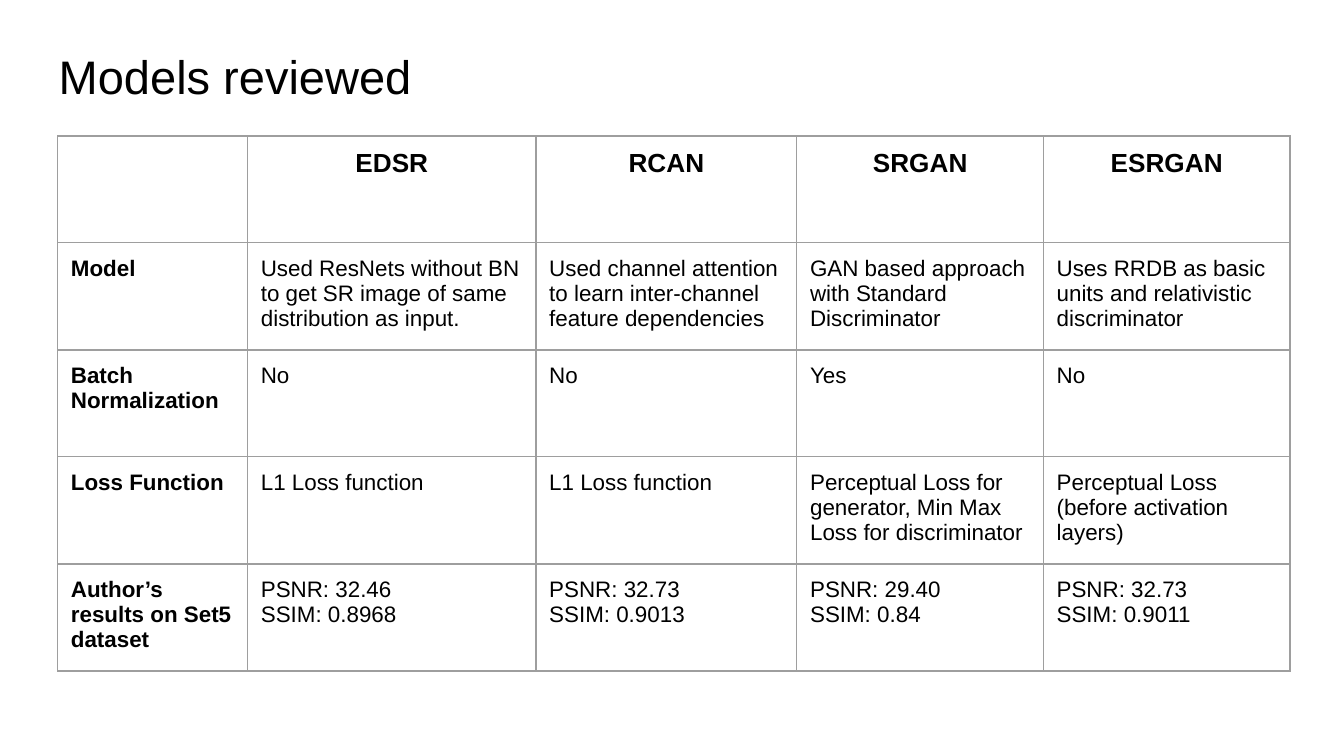
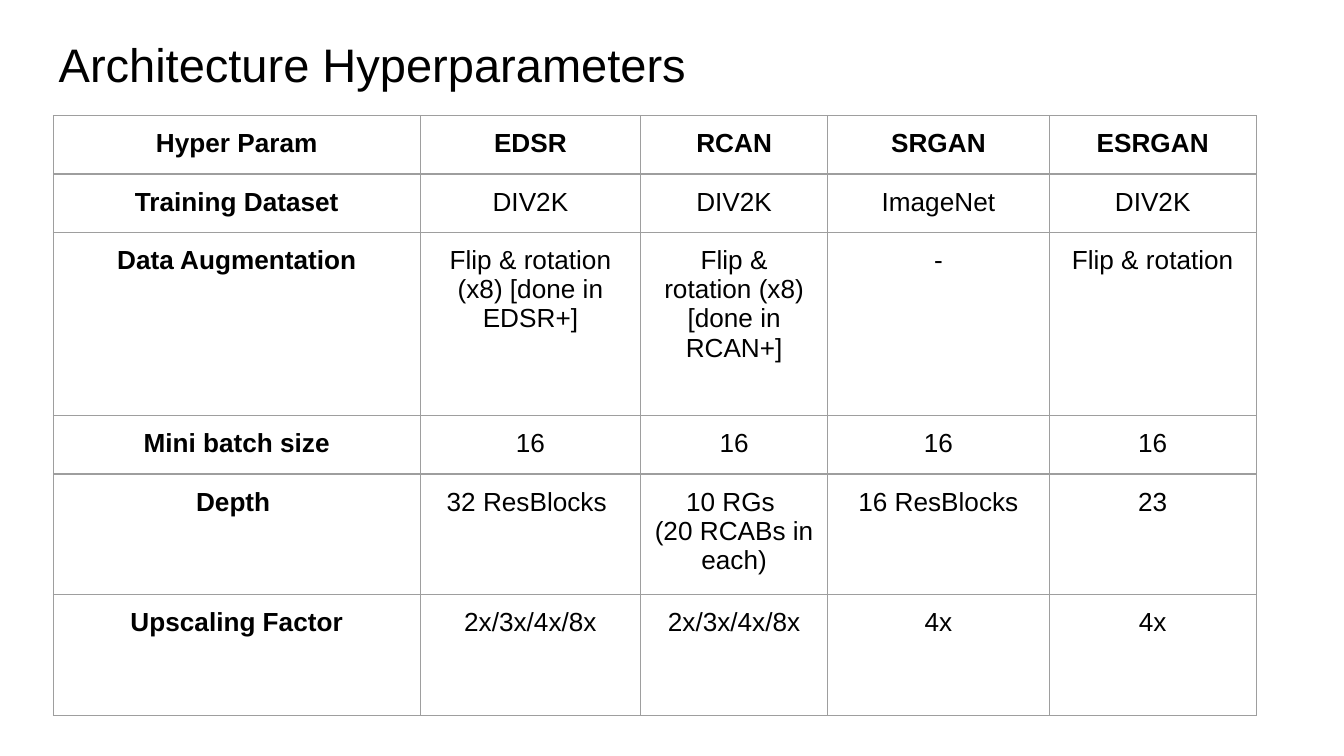
from lxml import etree
from pptx import Presentation
from pptx.dml.color import RGBColor
from pptx.enum.text import MSO_ANCHOR, PP_ALIGN
from pptx.oxml.ns import qn
from pptx.util import Cm, Pt

LEFT, CENTER = PP_ALIGN.LEFT, PP_ALIGN.CENTER
BOTTOM = MSO_ANCHOR.BOTTOM
BLANK_LAYOUT = 6

COLORS = {"page": "FFFFFF", "text": "000000", "grid": "9E9E9E"}
FONT = "Arial"
TITLE_SIZE, HEADING_SIZE, BODY_SIZE = 25.2, 14, 12
GRID_WIDTH = Pt(0.75)
INSETS = {f"margin_{side}": Cm(0.25) for side in ("left", "top", "right", "bottom")}
TITLE_FORMAT = {"word_wrap": True, "vertical_anchor": BOTTOM, **INSETS}
PLAIN_TABLE = {"first_row": False, "horz_banding": False}

MODELS = ["EDSR", "RCAN", "SRGAN", "ESRGAN"]

REVIEW = {
    "title": "Models reviewed",
    "title_top": 0.61,
    "table_at": (1.09, 2.57),
    "columns": [3.59, 5.45, 4.93, 4.66, 4.66],
    "rows": [2.02] * 5,
    "body_size": BODY_SIZE,
    "body_align": LEFT,
    "cells": [
        ["", *MODELS],
        ["Model",
         "Used ResNets without BN to get SR image of same distribution as input.",
         "Used channel attention to learn inter-channel feature dependencies",
         "GAN based approach with Standard Discriminator",
         "Uses RRDB as basic units and relativistic discriminator"],
        ["Batch Normalization", "No", "No", "Yes", "No"],
        ["Loss Function", "L1 Loss function", "L1 Loss function",
         "Perceptual Loss for generator, Min Max Loss for discriminator",
         "Perceptual Loss (before activation layers)"],
        ["Author’s results on Set5 dataset",
         "PSNR: 32.46\nSSIM: 0.8968", "PSNR: 32.73\nSSIM: 0.9013",
         "PSNR: 29.40\nSSIM: 0.84", "PSNR: 32.73\nSSIM: 0.9011"],
    ],
}

HYPERPARAMETERS = {
    "title": "Architecture Hyperparameters",
    "title_top": 0.38,
    "table_at": (1.01, 2.19),
    "columns": [6.93, 4.17, 3.53, 4.19, 3.91],
    "rows": [1.1, 1.1, 3.47, 1.1, 2.28, 2.28],
    "body_size": HEADING_SIZE,
    "body_align": CENTER,
    "cells": [
        ["Hyper Param", *MODELS],
        ["Training Dataset", "DIV2K", "DIV2K", "ImageNet", "DIV2K"],
        ["Data Augmentation", "Flip & rotation (x8) [done in EDSR+]",
         "Flip & rotation (x8) [done in RCAN+]", "-", "Flip & rotation"],
        ["Mini batch size", "16", "16", "16", "16"],
        ["Depth ", "32 ResBlocks ", "10 RGs \n(20 RCABs in each)", "16 ResBlocks", "23"],
        ["Upscaling Factor", "2x/3x/4x/8x", "2x/3x/4x/8x", "4x", "4x"],
    ],
}


def apply_format(target, values):
    for name, value in values.items():
        setattr(target, name, value)


def write_text(frame, text, size, bold=False, align=LEFT):
    """Fill a text frame, one paragraph per line of text."""
    frame.text = text
    for para in frame.paragraphs:
        para.alignment = align
        for span in para.runs:
            apply_format(span.font, {"name": FONT, "size": Pt(size), "bold": bold})
            span.font.color.rgb = RGBColor.from_string(COLORS["text"])


def add_title(page, text, left, top, width, height):
    box = page.shapes.add_textbox(Cm(left), Cm(top), Cm(width), Cm(height))
    apply_format(box.text_frame, TITLE_FORMAT)
    write_text(box.text_frame, text, TITLE_SIZE)


def draw_cell_borders(cell):
    properties = cell._tc.get_or_add_tcPr()
    for side in ("lnL", "lnR", "lnT", "lnB"):
        line = etree.SubElement(properties, qn(f"a:{side}"), w=str(GRID_WIDTH))
        fill = etree.SubElement(line, qn("a:solidFill"))
        etree.SubElement(fill, qn("a:srgbClr"), val=COLORS["grid"])


def add_model_table(page, content, left, top):
    columns, rows = content["columns"], content["rows"]
    table = page.shapes.add_table(
        len(rows), len(columns), Cm(left), Cm(top), Cm(sum(columns)), Cm(sum(rows))
    ).table
    apply_format(table, PLAIN_TABLE)
    for column, width in zip(table.columns, columns):
        column.width = Cm(width)
    for row, height in zip(table.rows, rows):
        row.height = Cm(height)
    for row_index, texts in enumerate(content["cells"]):
        for column_index, text in enumerate(texts):
            cell = table.cell(row_index, column_index)
            apply_format(cell, INSETS)
            draw_cell_borders(cell)
            cell.fill.background()
            is_header = row_index == 0
            write_text(
                cell.text_frame, text,
                size=HEADING_SIZE if is_header else content["body_size"],
                bold=is_header or column_index == 0,
                align=CENTER if is_header else content["body_align"],
            )


def add_table_page(deck, content):
    page = deck.slides.add_slide(deck.slide_layouts[BLANK_LAYOUT])
    page.background.fill.solid()
    page.background.fill.fore_color.rgb = RGBColor.from_string(COLORS["page"])
    add_title(page, content["title"], 0.86, content["title_top"], 23.67, 1.6)
    add_model_table(page, content, *content["table_at"])


def main():
    deck = Presentation()
    apply_format(deck, {"slide_width": Cm(25.4), "slide_height": Cm(14.29)})
    for content in (REVIEW, HYPERPARAMETERS):
        add_table_page(deck, content)
    deck.save("out.pptx")


if __name__ == "__main__":
    main()
